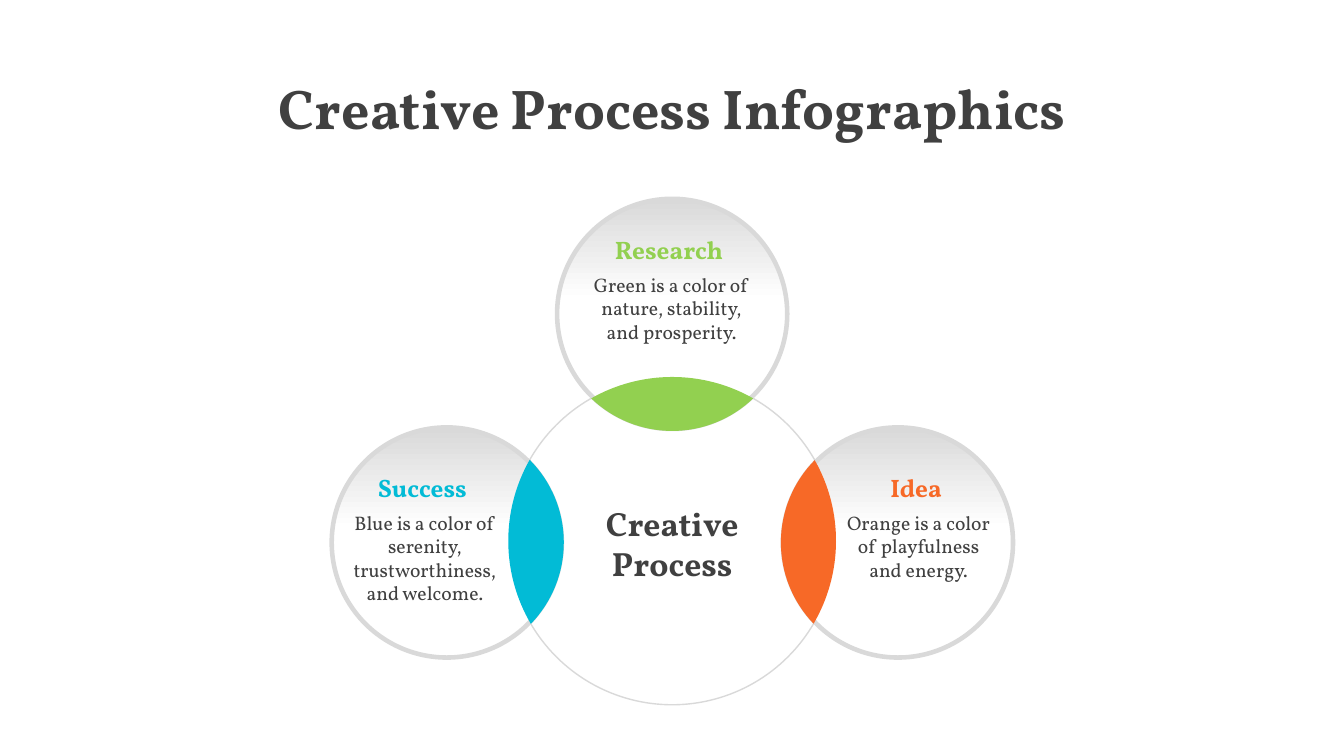
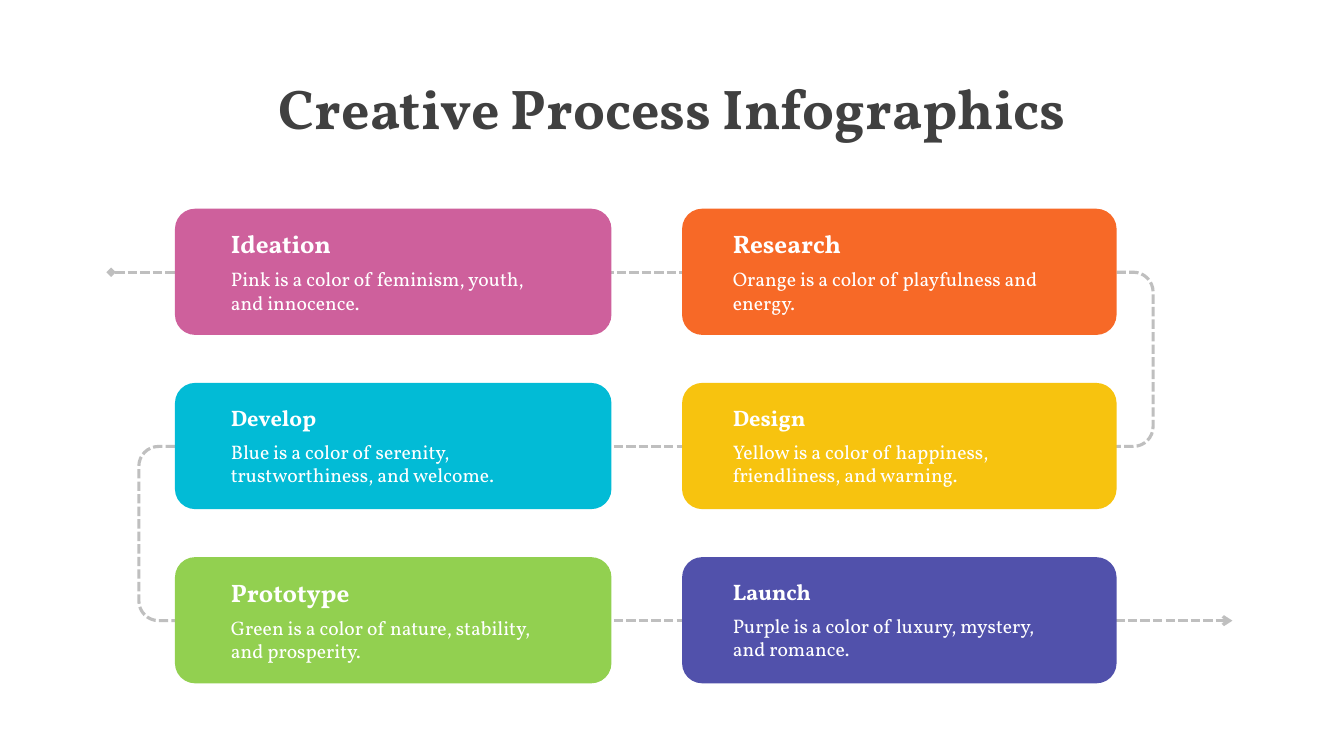
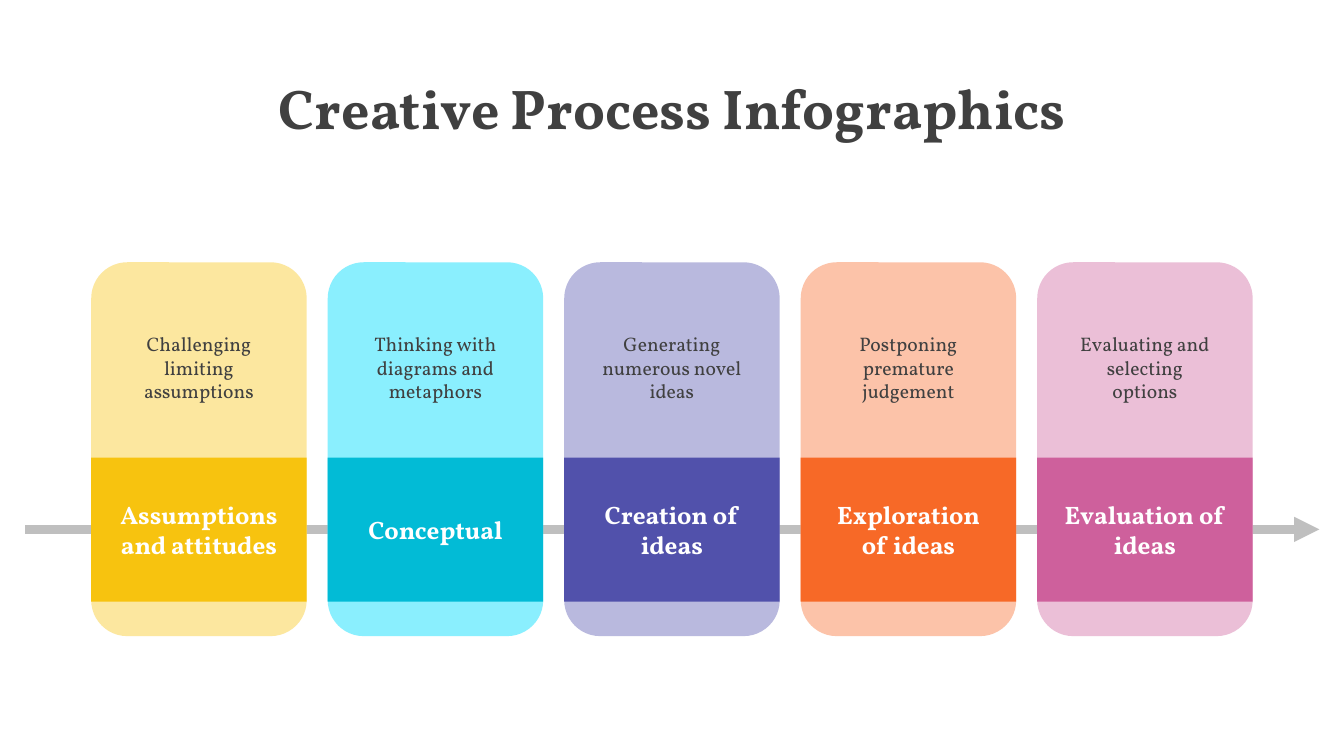
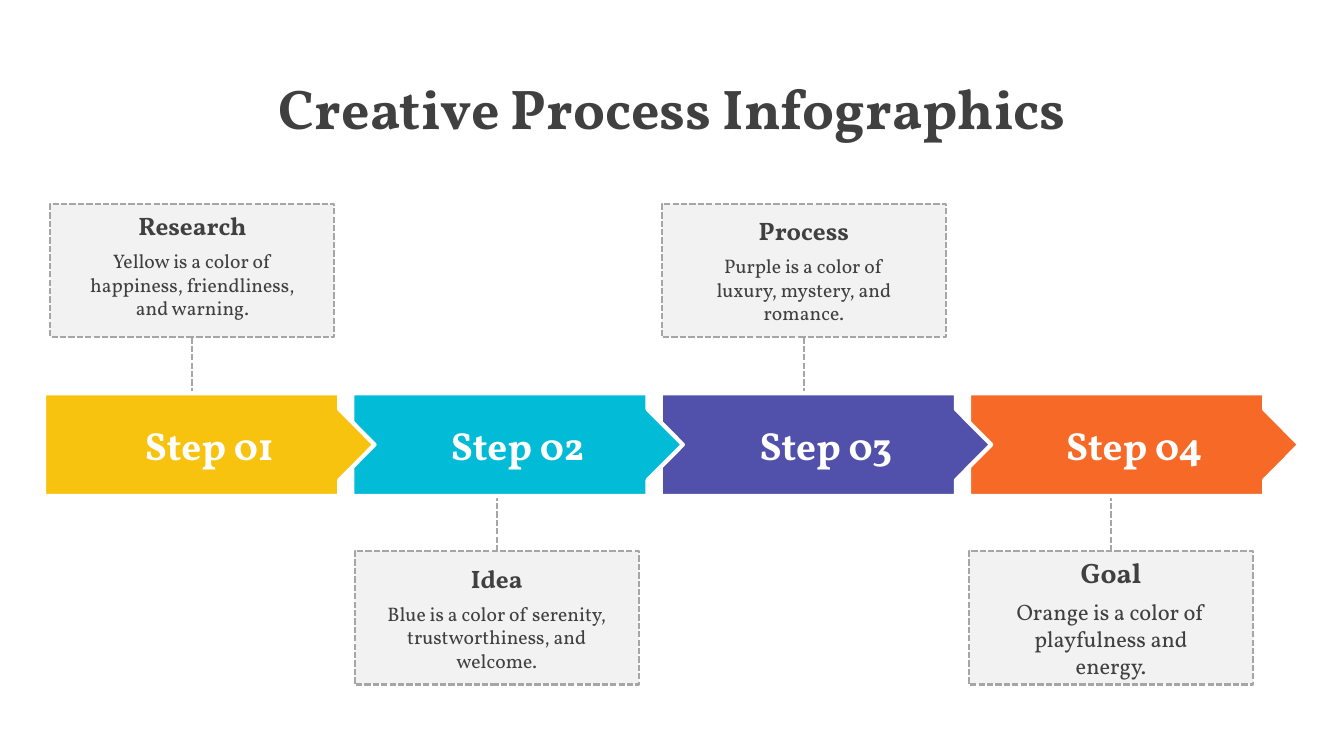
import math

from pptx import Presentation
from pptx.dml.color import RGBColor
from pptx.enum.dml import MSO_LINE
from pptx.enum.shapes import MSO_CONNECTOR, MSO_SHAPE
from pptx.enum.text import MSO_ANCHOR, PP_ALIGN
from pptx.oxml.ns import qn
from pptx.oxml.xmlchemy import OxmlElement
from pptx.util import Cm, Pt

RECT, ROUNDED, OVAL = MSO_SHAPE.RECTANGLE, MSO_SHAPE.ROUNDED_RECTANGLE, MSO_SHAPE.OVAL
STRAIGHT, DASHED = MSO_CONNECTOR.STRAIGHT, MSO_LINE.SQUARE_DOT
TOP, MIDDLE = MSO_ANCHOR.TOP, MSO_ANCHOR.MIDDLE
LEFT, CENTER = PP_ALIGN.LEFT, PP_ALIGN.CENTER

WIDTH, HEIGHT = 33.87, 19.05
FONT = "Vollkorn"
TITLE = "Creative Process Infographics"
DARK, WHITE, PANEL = "404040", "FFFFFF", "F2F2F2"
RING, TRACK, LEADER = "D9D9D9", "BFBFBF", "A6A6A6"
GREEN, ORANGE, BLUE = "92D050", "F76927", "02BBD6"
YELLOW, PURPLE, PINK = "F7C30F", "5151AB", "CE609C"

# heading, body, colour, circle centre, text box (left, top, width)
PETALS = [
    ("Idea ", "Orange is a color of playfulness and energy.", ORANGE,
     (22.63, 13.67), (21.03, 11.77, 4.24)),
    ("Research ", "Green is a color of nature, stability, and prosperity.", GREEN,
     (16.94, 7.91), (14.55, 5.77, 4.75)),
    ("Success ", "Blue is a color of serenity, trustworthiness, and welcome.", BLUE,
     (11.26, 13.67), (8.59, 11.77, 4.24)),
]

# rows of (heading, heading size, body, colour)
STAGES = [
    [("Ideation", 18, "Pink is a color of feminism, youth, and innocence.", PINK),
     ("Research", 18, "Orange is a color of playfulness and energy.", ORANGE)],
    [("Develop", 16, "Blue is a color of serenity, trustworthiness, and welcome.", BLUE),
     ("Design", 16, "Yellow is a color of happiness, friendliness, and warning.", YELLOW)],
    [("Prototype", 18, "Green is a color of nature, stability, and prosperity.", GREEN),
     ("Launch", 16, "Purple is a color of luxury, mystery, and romance.", PURPLE)],
]

# label, note paragraphs, band colour, card colour
CARDS = [
    ("Assumptions and attitudes", ["Challenging limiting assumptions"], YELLOW, "FCE79F"),
    ("Conceptual", ["Thinking with diagrams and metaphors"], BLUE, "8AEFFE"),
    ("Creation of ideas", ["Generating numerous novel ideas"], PURPLE, "B9B9DE"),
    ("Exploration of ideas", ["Postponing premature judgement"], ORANGE, "FCC3A9"),
    ("Evaluation of ideas", ["Evaluating and selecting", "options"], PINK, "EBBFD7"),
]

# step, colour, callout left, side padding, top padding, (heading, size), (body, size)
STEPS = [
    ("Step 01", YELLOW, 1.27, 0.81, 0.16, ("Research", 18),
     ("Yellow is a color of happiness, friendliness, and warning.", 14)),
    ("Step 02", BLUE, 8.94, 0.4, 0.3, ("Idea", 18),
     ("Blue is a color of serenity, trustworthiness, and welcome.", 14)),
    ("Step 03", PURPLE, 16.68, 0.81, 0.29, ("Process", 18),
     ("Purple is a color of luxury, mystery, and romance.", 14)),
    ("Step 04", ORANGE, 24.42, 0.81, 0.12, ("Goal", 20),
     ("Orange is a color of playfulness and energy.", 16)),
]


def rgb(color):
    return RGBColor.from_string(color)


def paint(s, fill=None, line=None, width=1, dash=None):
    s.shadow.inherit = False
    if fill:
        s.fill.solid()
        s.fill.fore_color.rgb = rgb(fill)
    else:
        s.fill.background()
    if line:
        stroke(s, line, width, dash)
    else:
        s.line.fill.background()
    return s


def stroke(s, color, width, dash=None):
    s.line.color.rgb = rgb(color)
    s.line.width = Pt(width)
    if dash:
        s.line.dash_style = dash


def add_box(slide, kind, x, y, w, h, radius=None, **style):
    s = slide.shapes.add_shape(kind, Cm(x), Cm(y), Cm(w), Cm(h))
    if radius is not None:
        s.adjustments[0] = radius
    return paint(s, **style)


def add_outline(slide, start, segments, close=True, **style):
    """Draw segments of one point (a line) or three points (a Bezier curve)."""
    points = [(Cm(x), Cm(y)) for segment in segments for x, y in segment]
    builder = slide.shapes.build_freeform(Cm(start[0]), Cm(start[1]))
    builder.add_line_segments(points, close=close)
    s = builder.convert_to_shape()
    path = next(s._element.iter(qn("a:path")))
    nodes = iter(path.findall(qn("a:lnTo")))
    for segment in segments:
        group = [next(nodes) for _ in segment]
        if len(group) == 3:
            curve = OxmlElement("a:cubicBezTo")
            group[0].addprevious(curve)
            for node in group:
                curve.append(node[0])
                path.remove(node)
    return paint(s, **style)


def add_line(slide, x1, y1, x2, y2, color, width, dash=None, head=None, tail=None):
    s = slide.shapes.add_connector(STRAIGHT, Cm(x1), Cm(y1), Cm(x2), Cm(y2))
    stroke(s, color, width, dash)
    spPr = s._element.spPr
    for tag, kind in (("a:headEnd", head), ("a:tailEnd", tail)):
        if kind:
            end = OxmlElement(tag)
            end.set("type", kind)
            spPr.find(qn("a:ln")).append(end)
    spPr.append(OxmlElement("a:effectLst"))


def add_text_box(slide, x, y, w, h):
    s = slide.shapes.add_textbox(Cm(x), Cm(y), Cm(w), Cm(h))
    s.text_frame.word_wrap = True
    return s


def set_frame(s, left, right, top=0.13, anchor=MIDDLE):
    tf = s.text_frame
    tf.word_wrap = True
    tf.vertical_anchor = anchor
    tf.margin_left, tf.margin_right, tf.margin_top = Cm(left), Cm(right), Cm(top)


def write(s, text, size=14, color=DARK, bold=False, align=CENTER, before=0):
    """Add one paragraph; the first one of a shape gets no space before."""
    tf = s.text_frame
    p = tf.paragraphs[0]
    if p.runs:
        p = tf.add_paragraph()
        p.space_before = Pt(before)
    p.alignment = align
    r = p.add_run()
    r.text = text
    r.font.name, r.font.size, r.font.bold = FONT, Pt(size), bold
    r.font.color.rgb = rgb(color)


def on_circle(cx, cy, radius, angle):
    return cx + radius * math.cos(angle), cy + radius * math.sin(angle)


def arc(cx, cy, radius, start, end, pieces=1):
    """Bezier segments along a circle from one angle to another, in radians."""
    step = (end - start) / pieces
    reach = math.hypot(1, 4 / 3 * math.tan(step / 4)) * radius
    lean = math.atan(4 / 3 * math.tan(step / 4))
    segments = []
    for i in range(pieces):
        a, b = start + i * step, start + (i + 1) * step
        segments.append([on_circle(cx, cy, reach, a + lean),
                         on_circle(cx, cy, reach, b - lean),
                         on_circle(cx, cy, radius, b)])
    return segments


def lens(hub, big, petal, small):
    """Start and segments of the overlap of two circles."""
    dx, dy = petal[0] - hub[0], petal[1] - hub[1]
    distance, angle = math.hypot(dx, dy), math.atan2(dy, dx)
    chord = (distance ** 2 + big ** 2 - small ** 2) / (2 * distance)
    a, b = math.acos(chord / big), math.acos((distance - chord) / small)
    back = angle + math.pi
    return (on_circle(*hub, big, angle - a),
            arc(*hub, big, angle - a, angle + a, 2)
            + arc(*petal, small, back - b, back + b, 2))


def u_turn(x, far, y1, y2, radius=0.5):
    """Start and segments of a path out from x to far and back."""
    side = 1 if far > x else -1
    quarter = math.pi / 2
    segments = ([[(0, y1)]] + arc(0, y1 + radius, radius, -quarter, 0)
                + [[(radius, y2 - radius)]] + arc(0, y2 - radius, radius, 0, quarter))
    turned = [[(far + side * (px - radius), py) for px, py in segment]
              for segment in segments]
    return (x, y1), turned + [[(x, y2)]]


def add_slide(prs):
    slide = prs.slides.add_slide(prs.slide_layouts[6])
    write(add_text_box(slide, 0, 1.73, WIDTH, 1.96), TITLE, size=40, bold=True)
    return slide


def build_petals(slide):
    hub, big, small = (16.94, 13.63), 4.13, 2.9
    add_box(slide, OVAL, hub[0] - big, hub[1] - big, 2 * big, 2 * big, line=RING)
    for heading, body, color, (cx, cy), (x, y, w) in PETALS:
        s = add_box(slide, OVAL, cx - small, cy - small, 2 * small, 2 * small,
                    line=RING, width=3.25)
        s.fill.gradient()
        s.fill.gradient_angle = 270
        for stop, shade, position in zip(s.fill.gradient_stops, (RING, WHITE), (0, 0.44)):
            stop.color.rgb = rgb(shade)
            stop.position = position
        add_outline(slide, *lens(hub, big, (cx, cy), small + 0.05), fill=color)
        box = add_text_box(slide, x, y, w, 3.63)
        write(box, heading, size=18, color=color, bold=True)
        write(box, body, before=6)
    label = add_text_box(slide, hub[0] - 1.98, 12.55, 3.96, 2.31)
    for word in ("Creative", "Process"):
        write(label, word, size=24, bold=True)


def build_stages(slide):
    columns = [(4.41, 11, 1.26), (17.19, 10.95, 1.13)]  # left, width, text inset
    top, pitch, h = 5.26, 4.39, 3.18
    rows = [top + i * pitch for i in range(3)]
    mids = [y + 1.6 for y in rows]
    start, end = columns[0][0], sum(columns[1][:2])
    track = dict(width=2.25, dash=DASHED)
    add_outline(slide, *u_turn(start, 3.5, mids[1], mids[2]), close=False, line=TRACK, **track)
    add_outline(slide, *u_turn(end, 29.06, mids[0], mids[1]), close=False, line=TRACK, **track)
    add_line(slide, 2.8, mids[0], end, mids[0], TRACK, head="diamond", **track)
    add_line(slide, start, mids[1], end, mids[1], TRACK, **track)
    add_line(slide, start, mids[2], 31.06, mids[2], TRACK, tail="arrow", **track)
    for y, row in zip(rows, STAGES):
        for (x, w, inset), (heading, size, body, color) in zip(columns, row):
            s = add_box(slide, ROUNDED, x, y, w, h, radius=0.16, fill=color)
            set_frame(s, inset, 1.6, top=0.1)
            write(s, heading, size=size, color=WHITE, bold=True, align=LEFT)
            write(s, body, color=WHITE, align=LEFT, before=6)


def build_cards(slide):
    left, pitch, w = 2.3, 5.96, 5.43
    add_line(slide, 0.64, 13.34, 33.25, 13.34, TRACK, 6, tail="triangle")
    for i, (label, notes, color, tint) in enumerate(CARDS):
        x = left + i * pitch
        card = add_box(slide, ROUNDED, x, 6.61, w, 9.42, radius=0.167, fill=tint)
        set_frame(card, 0.38, 0.38, top=1.5, anchor=TOP)
        for note in notes:
            write(card, note)
        band = add_box(slide, RECT, x, 11.53, w, 3.63, fill=color)
        set_frame(band, 0.55, 0.55)
        write(band, label, size=18, color=WHITE, bold=True)


def build_steps(slide):
    left, pitch, top, h = 1.11, 7.77, 9.91, 2.59
    body_w, tip_w, notch = 7.44, 8.33, 0.4
    callout_w, callout_h = 7.16, 3.36
    for i, (_, _, x, side, pad, heading, body) in enumerate(STEPS):
        above = i % 2 == 0
        y = 5.14 if above else 13.89
        ends = (y + callout_h, top) if above else (y, top + h)
        mid = x + callout_w / 2
        add_line(slide, mid, ends[0], mid, ends[1], LEADER, 1.5, DASHED)
        s = add_box(slide, RECT, x, y, callout_w, callout_h,
                    fill=PANEL, line=LEADER, width=1.5, dash=DASHED)
        set_frame(s, side, side, top=pad, anchor=TOP)
        write(s, heading[0], size=heading[1], bold=True)
        write(s, body[0], size=body[1], before=6)
    bottom = top + h
    # Last step first, so that each tip lies over the next step.
    for i, (step, color, *_) in reversed(list(enumerate(STEPS))):
        x = left + i * pitch
        edge = x + body_w
        corners = [(x, bottom), (edge, bottom), (edge, bottom - notch),
                   (x + tip_w, top + h / 2), (edge, top + notch), (edge, top)]
        s = add_outline(slide, (x, top), [[corner] for corner in corners],
                        fill=color, line=WHITE, width=3)
        set_frame(s, 0.25, 0.25, top=0.25)
        s.text_frame.margin_bottom = Cm(0.25)
        write(s, step, size=28, color=WHITE, bold=True)


def main():
    prs = Presentation()
    prs.slide_width, prs.slide_height = Cm(WIDTH), Cm(HEIGHT)
    for build in (build_petals, build_stages, build_cards, build_steps):
        build(add_slide(prs))
    prs.save("out.pptx")


if __name__ == "__main__":
    main()
